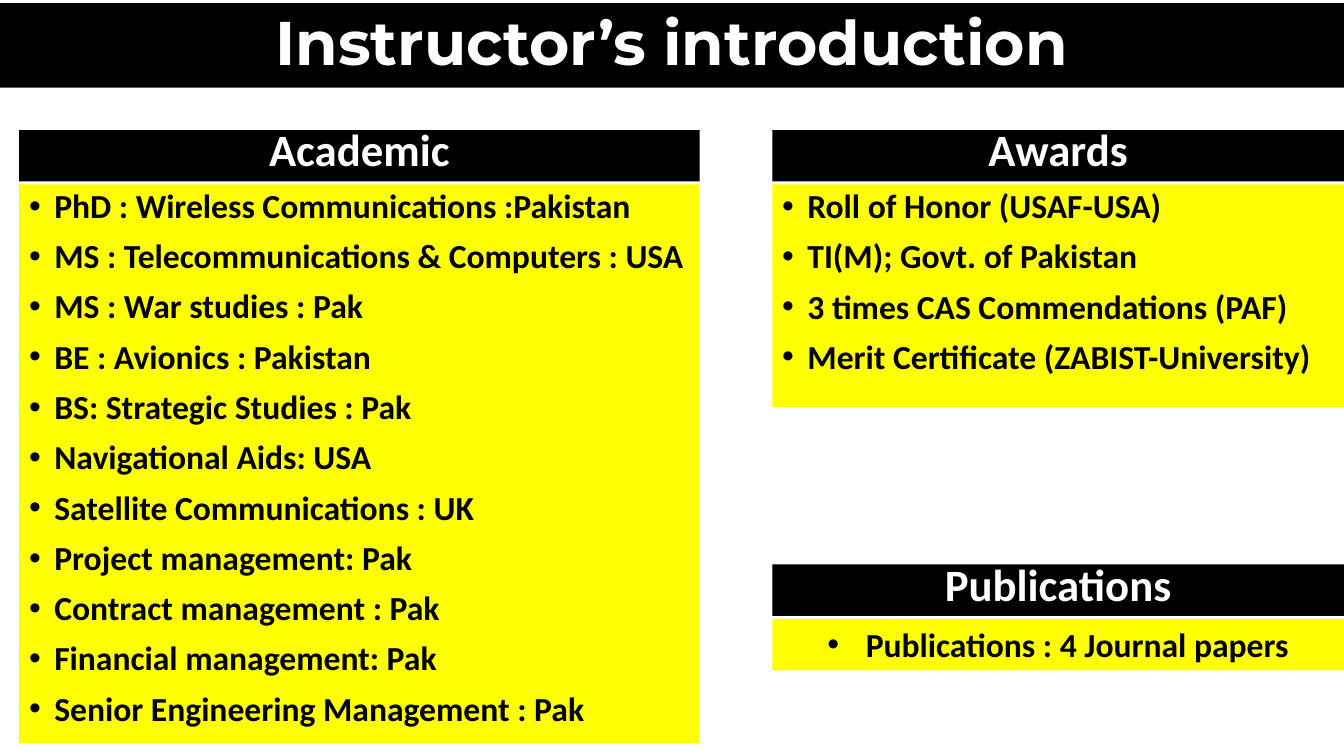
import pptx
import pptx.util
import pptx.dml.color
import pptx.enum.shapes
import pptx.enum.text
import pptx.oxml.ns
import lxml.etree

HUES = {"dark": "000000", "light": "FFFFFF", "sun": "FFFF00"}
WIDE, HIGH = 13.33, 7.5
LEFT, RIGHT = 0.19, 7.66
LEFT_W, RIGHT_W = 6.75, WIDE - RIGHT
TOP, HEAD, GAP = 1.29, 0.51, 0.03
ALIGN = pptx.enum.text.PP_ALIGN
ANCHOR = pptx.enum.text.MSO_ANCHOR

ACADEMIC = [
    "PhD : Wireless Communications :Pakistan",
    "MS : Telecommunications & Computers : USA",
    "MS : War studies : Pak",
    "BE : Avionics : Pakistan",
    "BS: Strategic Studies : Pak",
    "Navigational Aids: USA",
    "Satellite Communications : UK",
    "Project management: Pak",
    "Contract management : Pak",
    "Financial management: Pak",
    "Senior Engineering Management : Pak",
]
AWARDS = [
    "Roll of Honor (USAF-USA)",
    "TI(M); Govt. of Pakistan",
    "3 times CAS Commendations (PAF)",
    "Merit Certificate (ZABIST-University)",
]
PAPERS = ["Publications : 4 Journal papers"]


def tint(name):
    """Return the named colour."""
    return pptx.dml.color.RGBColor.from_string(HUES[name])


def place(shape, box, fill, anchor):
    """Set the box, fill and text frame of a shape."""
    shape.left, shape.top, shape.width, shape.height = map(pptx.util.Inches, box)
    shape.fill.solid()
    shape.fill.fore_color.rgb = tint(fill)
    frame = shape.text_frame
    frame.word_wrap = True
    frame.auto_size = pptx.enum.text.MSO_AUTO_SIZE.NONE
    frame.vertical_anchor = anchor
    return frame


def block(slide, box, fill, anchor):
    """Add a plain filled rectangle and return its text frame."""
    kind = pptx.enum.shapes.MSO_SHAPE.RECTANGLE
    shape = slide.shapes.add_shape(kind, *map(pptx.util.Inches, box))
    shape.shadow.inherit = False
    shape.line.fill.background()
    return place(shape, box, fill, anchor)


def bullet(para, indent):
    """Give a paragraph a round bullet with a hanging indent."""
    props = para._p.get_or_add_pPr()
    props.set("marL", str(pptx.util.Inches(indent)))
    props.set("indent", str(-pptx.util.Inches(indent)))
    font = lxml.etree.SubElement(props, pptx.oxml.ns.qn("a:buFont"))
    font.set("typeface", "Arial")
    mark = lxml.etree.SubElement(props, pptx.oxml.ns.qn("a:buChar"))
    mark.set("char", "•")


def write(para, text, size, hue, align, face="Calibri", space=0.9):
    """Add one bold run to a paragraph."""
    para.alignment = align
    para.line_spacing = space
    run = para.add_run()
    run.text = text
    run.font.name = face
    run.font.size = pptx.util.Pt(size)
    run.font.bold = True
    run.font.color.rgb = tint(hue)


def banner(slide, box, text):
    """Format the title placeholder as a dark band."""
    frame = place(slide.shapes.title, box, "dark", ANCHOR.MIDDLE)
    write(frame.paragraphs[0], text, 44, "light", ALIGN.CENTER, "Montserrat")


def panel(slide, box, title, items, align=ALIGN.LEFT, indent=0.25, space=0.9):
    """Draw a dark heading over a yellow list within the box."""
    left, top, width, height = box
    head = block(slide, (left, top, width, HEAD), "dark", ANCHOR.BOTTOM)
    write(head.paragraphs[0], title, 32, "light", ALIGN.CENTER)
    drop = HEAD + GAP
    body = block(slide, (left, top + drop, width, height - drop), "sun", ANCHOR.TOP)
    for rank, item in enumerate(items):
        para = body.add_paragraph() if rank else body.paragraphs[0]
        bullet(para, indent)
        if rank:
            para.space_before = pptx.util.Pt(10)
        write(para, item, 24, "dark", align, space=space)


def main():
    """Build and save the slide."""
    deck = pptx.Presentation()
    deck.slide_width = pptx.util.Inches(WIDE)
    deck.slide_height = pptx.util.Inches(HIGH)
    slide = deck.slides.add_slide(deck.slide_layouts[5])
    banner(slide, (0, 0.03, WIDE, 0.84), "Instructor’s introduction")
    panel(slide, (LEFT, TOP, LEFT_W, 6.08), "Academic", ACADEMIC)
    panel(slide, (RIGHT, TOP, RIGHT_W, 2.75), "Awards", AWARDS)
    panel(slide, (RIGHT, 5.6, RIGHT_W, 1.05), "Publications", PAPERS,
          ALIGN.CENTER, 0.38, 1.0)
    deck.save("out.pptx")


if __name__ == "__main__":
    main()
